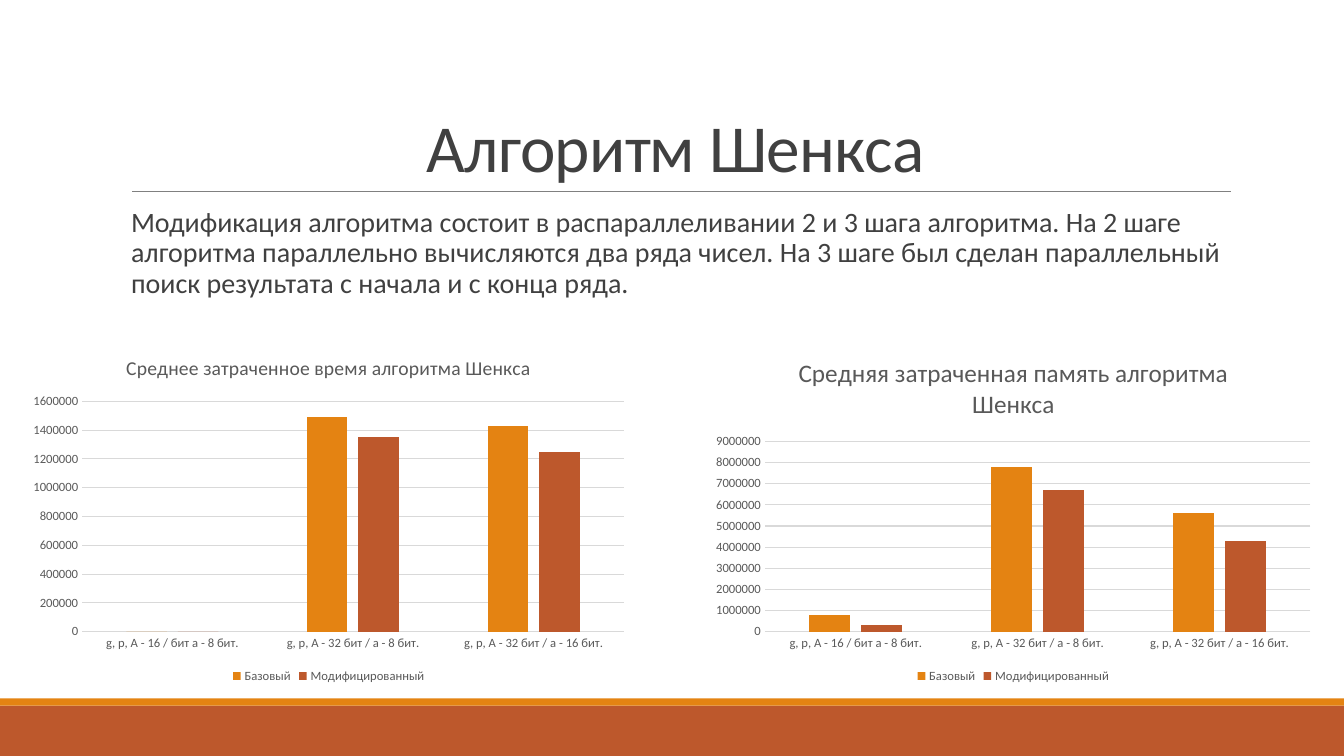
from lxml import etree
from pptx import Presentation
from pptx.chart.data import CategoryChartData
from pptx.dml.color import RGBColor
from pptx.enum.chart import XL_CHART_TYPE as ChartType, XL_LEGEND_POSITION as LegendPlace
from pptx.enum.chart import XL_TICK_MARK as Tick
from pptx.enum.shapes import MSO_CONNECTOR as Connector, MSO_SHAPE as Preset
from pptx.enum.text import MSO_ANCHOR as Anchor, PP_ALIGN as Align
from pptx.oxml.ns import qn
from pptx.util import Inches, Pt

WIDTH, HEIGHT = 13.33, 7.5
FONT = "Calibri"
ORANGE, RUST = "E48312", "BD582C"
DARK, GREY, PALE, RULE = "404040", "595959", "D9D9D9", "808080"
MARGIN, CONTENT_WIDTH = 1.2, 11
CHART_TOP, CHART_HEIGHT = 3.36, 3.46

INPUT_SIZES = [
    "g, p, A - 16 / бит a - 8 бит.",
    "g, p, A - 32 бит / a - 8 бит.",
    "g, p, A - 32 бит / a - 16 бит.",
]
VARIANTS = {"Базовый": ORANGE, "Модифицированный": RUST}
EXPLANATION = (
    "Модификация алгоритма состоит в распараллеливании 2 и 3 шага алгоритма. "
    "На 2 шаге алгоритма параллельно вычисляются два ряда чисел. "
    "На 3 шаге был сделан параллельный поиск результата с начала и с конца ряда."
)


def color(hex_code):
    return RGBColor.from_string(hex_code)


def style_font(font, size, hex_code):
    font.name, font.size, font.bold = FONT, Pt(size), False
    font.color.rgb = color(hex_code)


def add_text(slide, text, box, size, anchor=Anchor.TOP, align=Align.LEFT, side_inset=0.1,
             line_spacing=1.0, before=0, after=0, indent=0, tracking=0):
    frame = slide.shapes.add_textbox(*map(Inches, box)).text_frame
    frame.word_wrap = True
    frame.vertical_anchor = anchor
    frame.margin_left = frame.margin_right = Inches(side_inset)
    paragraph = frame.paragraphs[0]
    paragraph.alignment = align
    paragraph.line_spacing = line_spacing
    paragraph.space_before, paragraph.space_after = Pt(before), Pt(after)
    run = paragraph.add_run()
    run.text = text
    style_font(run.font, size, DARK)
    # Letter spacing and left indent
    run.font._element.set("spc", str(round(tracking * 100)))
    paragraph._p.get_or_add_pPr().set("marL", str(Inches(indent)))


def add_band(slide, top, height, hex_code):
    band = slide.shapes.add_shape(Preset.RECTANGLE, 0, Inches(top), Inches(WIDTH), Inches(height))
    band.shadow.inherit = False
    band.fill.solid()
    band.fill.fore_color.rgb = color(hex_code)
    band.line.fill.background()


def add_rule(slide, left, right, y):
    rule = slide.shapes.add_connector(Connector.STRAIGHT, *map(Inches, (left, y, right, y)))
    rule.line.color.rgb = color(RULE)
    rule.line.width = Pt(0.5)
    etree.SubElement(rule._element.spPr, qn("a:effectLst"))


def style_axis(axis):
    axis.major_tick_mark = axis.minor_tick_mark = Tick.NONE
    style_font(axis.tick_labels.font, 9, GREY)


def add_comparison(slide, title, title_size, left, width, top_value, step, measurements):
    data = CategoryChartData()
    data.categories = INPUT_SIZES
    for variant, values in zip(VARIANTS, measurements):
        data.add_series(variant, values)
    box = map(Inches, (left, CHART_TOP, width, CHART_HEIGHT))
    chart = slide.shapes.add_chart(ChartType.COLUMN_CLUSTERED, *box, data).chart
    style_font(chart.font, 10, "000000")

    # Title and legend
    heading = chart.chart_title.text_frame
    heading.text = title
    style_font(heading.paragraphs[0].runs[0].font, title_size, GREY)
    chart.chart_title.include_in_layout = False
    chart.has_legend = True
    chart.legend.position = LegendPlace.BOTTOM
    chart.legend.include_in_layout = False
    style_font(chart.legend.font, 9, GREY)

    # Axes and grid
    sizes, amounts = chart.category_axis, chart.value_axis
    style_axis(sizes)
    style_axis(amounts)
    amounts.minimum_scale, amounts.maximum_scale, amounts.major_unit = 0, top_value, step
    amounts.tick_labels.number_format = "General"
    amounts.tick_labels.number_format_is_linked = False
    amounts.format.line.fill.background()
    for line in (sizes.format.line, amounts.major_gridlines.format.line):
        line.color.rgb = color(PALE)
        line.width = Pt(0.75)

    # Columns
    plot = chart.plots[0]
    plot.vary_by_categories = False
    plot.gap_width, plot.overlap = 219, -27
    for columns, hex_code in zip(plot.series, VARIANTS.values()):
        columns.format.fill.solid()
        columns.format.fill.fore_color.rgb = color(hex_code)


def main():
    deck = Presentation()
    deck.slide_width, deck.slide_height = Inches(WIDTH), Inches(HEIGHT)
    slide = deck.slides.add_slide(deck.slide_layouts[6])

    # Footer bands and rule under the title
    add_band(slide, 7, 0.5, RUST)
    add_band(slide, 6.93, 0.07, ORANGE)
    add_rule(slide, 1.31, 12.21, 1.9)

    # Title and explanation
    add_text(slide, "Алгоритм Шенкса", (MARGIN, 0.31, CONTENT_WIDTH, 1.59), 48,
             anchor=Anchor.BOTTOM, align=Align.CENTER, line_spacing=0.85, tracking=-0.5)
    add_text(slide, EXPLANATION, (MARGIN, 2.02, CONTENT_WIDTH, 1.34), 20, side_inset=0,
             line_spacing=0.9, before=12, after=2, indent=0.1)

    # Time and memory charts
    add_comparison(slide, "Среднее затраченное время алгоритма Шенкса", 14, 0.21, 6.1,
                   1600000, 200000, [(0, 1490000, 1430000), (0, 1350000, 1250000)])
    add_comparison(slide, "Средняя затраченная память алгоритма Шенкса", 18, 6.98, 6.14,
                   9000000, 1000000, [(800000, 7800000, 5600000), (300000, 6700000, 4300000)])

    deck.save("out.pptx")


if __name__ == "__main__":
    main()
